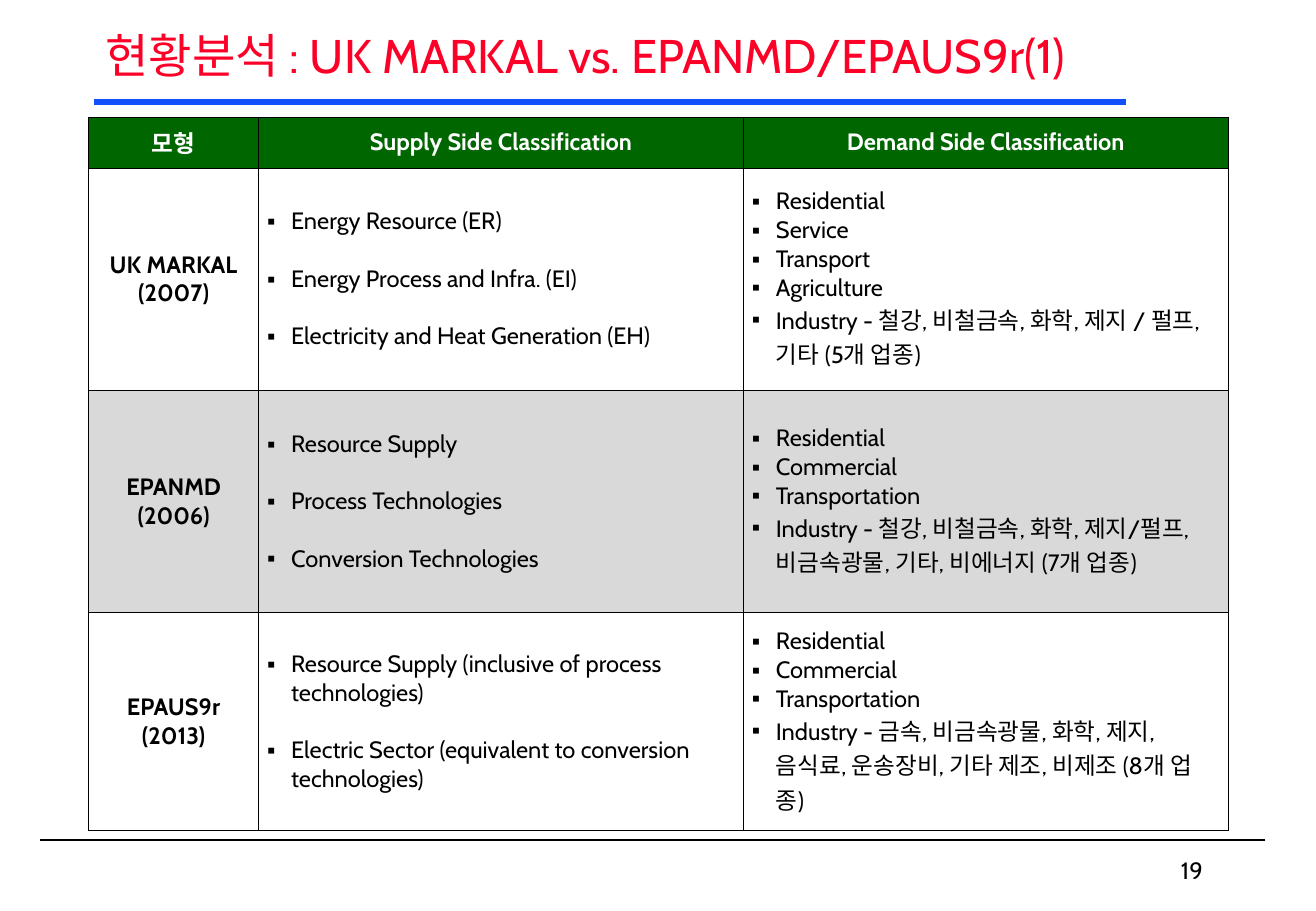
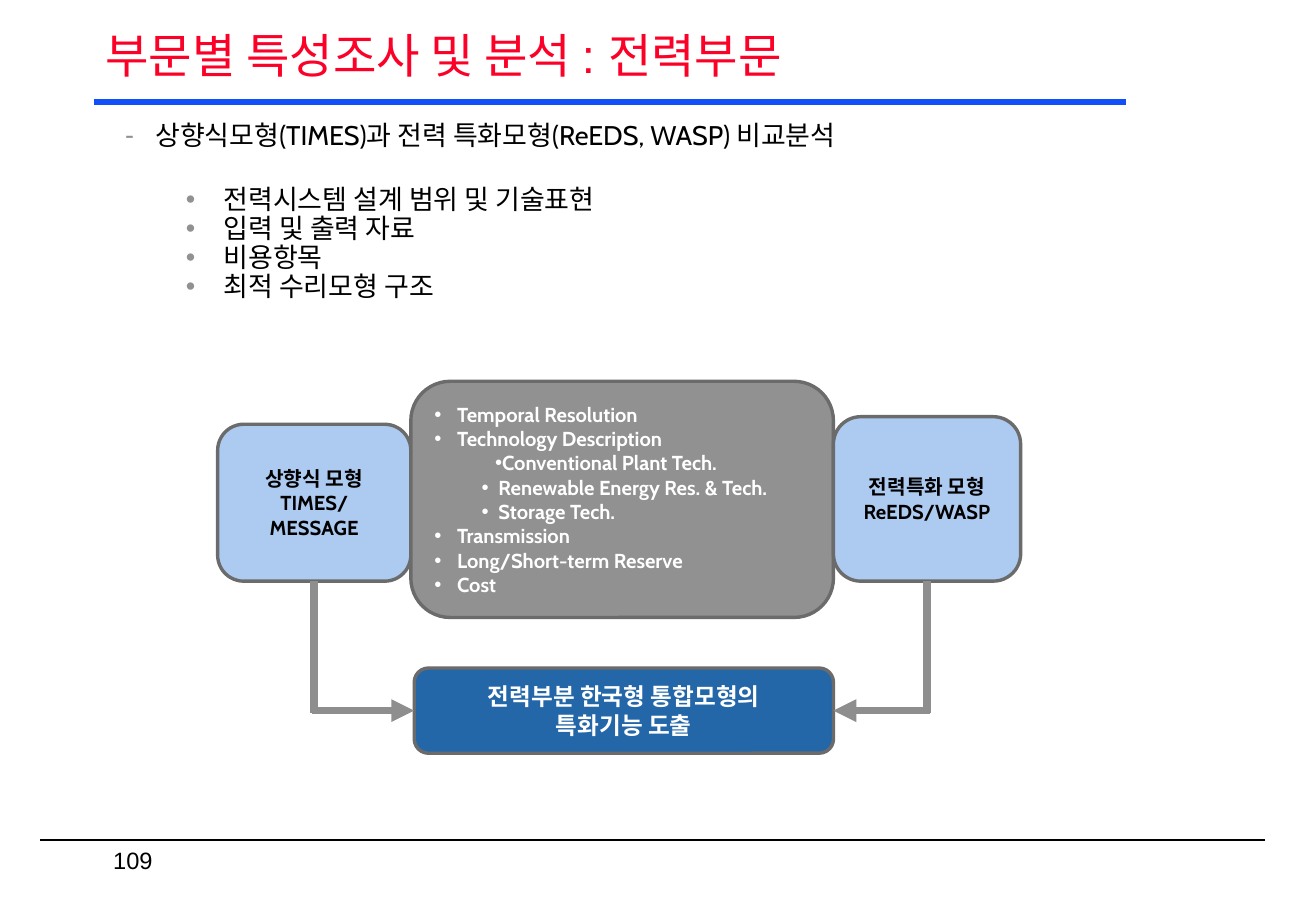
from dataclasses import dataclass
from typing import Optional

from lxml import etree
from pptx import Presentation
from pptx.dml.color import RGBColor
from pptx.enum.shapes import MSO_CONNECTOR, MSO_SHAPE
from pptx.enum.text import MSO_ANCHOR, PP_ALIGN
from pptx.oxml.ns import qn
from pptx.util import Pt

STRAIGHT = MSO_CONNECTOR.STRAIGHT
ROUNDED = MSO_SHAPE.ROUNDED_RECTANGLE
MIDDLE, TOP = MSO_ANCHOR.MIDDLE, MSO_ANCHOR.TOP
LEFT, CENTER, RIGHT = PP_ALIGN.LEFT, PP_ALIGN.CENTER, PP_ALIGN.RIGHT
JUSTIFY = PP_ALIGN.JUSTIFY
SIDE_LEFT, SIDE_BOTTOM, SIDE_RIGHT = 1, 2, 3

BLACK = RGBColor(0x00, 0x00, 0x00)
WHITE = RGBColor(0xFF, 0xFF, 0xFF)
RED = RGBColor(0xFC, 0x01, 0x28)
BLUE = RGBColor(0x11, 0x4F, 0xFB)
GREEN = RGBColor(0x00, 0x66, 0x00)
BAND = RGBColor(0xD9, 0xD9, 0xD9)
GRAY = RGBColor(0x91, 0x91, 0x91)
ARROW = RGBColor(0x8E, 0x8E, 0x8E)
OUTLINE = RGBColor(0x6B, 0x6B, 0x6B)
LIGHT_BLUE = RGBColor(0xAD, 0xCA, 0xF0)
DEEP_BLUE = RGBColor(0x24, 0x67, 0xA9)


@dataclass(frozen=True)
class Style:
    size: float
    color: RGBColor = BLACK
    bold: bool = False
    align: int = LEFT
    font: str = "Cabin"
    spacing: Optional[float] = None


@dataclass(frozen=True)
class Bullet:
    char: str
    margin: float
    indent: float
    level: int = 0
    color: Optional[RGBColor] = None


@dataclass(frozen=True)
class Item:
    text: str
    bullet: Optional[Bullet] = None
    gap: float = 0


TITLE = Style(28, RED, align=JUSTIFY, spacing=0.9)
TITLE_ARIAL = Style(28, RED, align=JUSTIFY, font="Arial", spacing=0.9)
HEADER = Style(14, WHITE, True, CENTER)
MODEL = Style(14, BLACK, True, CENTER)
CELL = Style(14)
BODY = Style(16, spacing=0.9)
BOX = Style(12, BLACK, True, CENTER)
FEATURE = Style(12, WHITE, True)

SQUARE = Bullet("▪", 14.25, -14.25)
DASH = Bullet("-", 54, -18, 1, GRAY)
TOPIC = Bullet("•", 94.5, -22.5, 2, GRAY)
DOT = Bullet("•", 13.5, -13.5)
SUB_FIRST = Bullet("•", 28, 8, 1)
SUB = Bullet("•", 38, -10, 1)


# Text
def add_bullet(para, bullet):
    props = para._p.get_or_add_pPr()
    props.set("marL", str(Pt(bullet.margin)))
    props.set("indent", str(Pt(bullet.indent)))
    para.level = bullet.level
    if bullet.color is not None:
        color = etree.SubElement(props, qn("a:buClr"))
        etree.SubElement(color, qn("a:srgbClr"), val=str(bullet.color))
    etree.SubElement(props, qn("a:buFont"), typeface="Arial")
    etree.SubElement(props, qn("a:buChar"), char=bullet.char)


def write(frame, items, style):
    for index, item in enumerate(items):
        para = frame.add_paragraph() if index else frame.paragraphs[0]
        para.text = item.text
        para.alignment = style.align
        if style.spacing:
            para.line_spacing = style.spacing
        if item.gap:
            para.space_before = Pt(item.gap)
        if item.bullet:
            add_bullet(para, item.bullet)
        for span in para.runs:
            span.font.name = style.font
            span.font.size = Pt(style.size)
            span.font.bold = style.bold
            span.font.color.rgb = style.color


def plain(*texts):
    return [Item(text) for text in texts]


def bulleted(texts, bullet, gap=0):
    return [Item(text, bullet, gap if index else 0)
            for index, text in enumerate(texts)]


def add_text(page, bounds, items, style, anchor=MIDDLE):
    box = page.shapes.add_textbox(*map(Pt, bounds))
    box.text_frame.word_wrap = True
    box.text_frame.vertical_anchor = anchor
    write(box.text_frame, items, style)


# Lines and boxes
def add_line(page, start, end, color, width, arrow=False):
    line = page.shapes.add_connector(STRAIGHT, *map(Pt, start + end))
    line.line.color.rgb = color
    line.line.width = Pt(width)
    if arrow:
        etree.SubElement(line.line._get_or_add_ln(), qn("a:tailEnd"),
                         type="triangle")
    etree.SubElement(line._element.spPr, qn("a:effectLst"))
    return line


def add_box(page, bounds, fill, items, style):
    box = page.shapes.add_shape(ROUNDED, *map(Pt, bounds))
    box.shadow.inherit = False
    box.fill.solid()
    box.fill.fore_color.rgb = fill
    box.line.color.rgb = OUTLINE
    box.line.width = Pt(2)
    box.text_frame.word_wrap = True
    box.text_frame.vertical_anchor = MIDDLE
    write(box.text_frame, items, style)
    return box


def add_elbow(page, source, target, side):
    """Go down from the source, then across to a side of the target."""
    overhang = 1.5
    corner_x = (source.left + source.width / 2) / Pt(1)
    corner_y = (target.top + target.height / 2) / Pt(1)
    end_x = (target.left if side == SIDE_LEFT
             else target.left + target.width) / Pt(1)
    start_x = corner_x + (-overhang if side == SIDE_LEFT else overhang)
    bottom = (source.top + source.height) / Pt(1)
    down = add_line(page, (corner_x, bottom), (corner_x, corner_y + overhang),
                    ARROW, 4.5)
    down.begin_connect(source, SIDE_BOTTOM)
    across = add_line(page, (start_x, corner_y), (end_x, corner_y),
                      ARROW, 4.5, arrow=True)
    across.end_connect(target, side)


# Table
def format_cell(cell, fill):
    cell.vertical_anchor = MIDDLE
    cell.margin_left = cell.margin_right = Pt(5)
    cell.margin_top = cell.margin_bottom = Pt(1.5)
    props = cell._tc.get_or_add_tcPr()
    for side in ("lnL", "lnR", "lnT", "lnB"):
        border = etree.SubElement(props, qn("a:" + side), w=str(Pt(0.28)))
        paint = etree.SubElement(border, qn("a:solidFill"))
        etree.SubElement(paint, qn("a:srgbClr"), val=str(BLACK))
    if fill is None:
        cell.fill.background()
    else:
        cell.fill.solid()
        cell.fill.fore_color.rgb = fill


def add_model_table(page, left, top, widths, heights, headers, models):
    frame = page.shapes.add_table(
        len(heights), len(widths), Pt(left), Pt(top),
        Pt(sum(widths)), Pt(sum(heights)))
    table = frame.table
    table.first_row = table.horz_banding = False
    for column, width in zip(table.columns, widths):
        column.width = Pt(width)
    for row, height in zip(table.rows, heights):
        row.height = Pt(height)
    for cell, text in zip(table.rows[0].cells, headers):
        format_cell(cell, GREEN)
        write(cell.text_frame, plain(text), HEADER)
    for index, (name, supply, demand) in enumerate(models, 1):
        contents = ((plain(*name), MODEL),
                    (bulleted(supply, SQUARE, gap=17), CELL),
                    (bulleted(demand, SQUARE), CELL))
        for cell, (items, style) in zip(table.rows[index].cells, contents):
            format_cell(cell, None if index % 2 else BAND)
            write(cell.text_frame, items, style)


# Pages
def add_page(deck, title, style):
    page = deck.slides.add_slide(deck.slide_layouts[6])
    add_line(page, (750, 498), (24, 498), BLACK, 1)
    add_line(page, (55.5, 60.5), (667.5, 60.5), BLUE, 3.75)
    add_text(page, (55.5, 12.25, 669, 44.5), plain(title), style)
    return page


def add_comparison_page(deck):
    page = add_page(deck, "현황분석 : UK MARKAL vs. EPANMD/EPAUS9r(1)", TITLE)
    headers = ("모형", "Supply Side Classification",
               "Demand Side Classification")
    models = (
        (("UK MARKAL", "(2007)"),
         ("Energy Resource (ER)", "Energy Process and Infra. (EI)",
          "Electricity and Heat Generation (EH)"),
         ("Residential", "Service", "Transport", "Agriculture",
          "Industry - 철강, 비철금속, 화학, 제지 / 펄프, 기타 (5개 업종)")),
        (("EPANMD", "(2006)"),
         ("Resource Supply", "Process Technologies",
          "Conversion Technologies"),
         ("Residential", "Commercial", "Transportation",
          "Industry - 철강, 비철금속, 화학, 제지/펄프, 비금속광물, 기타, "
          "비에너지 (7개 업종)")),
        (("EPAUS9r", "(2013)"),
         ("Resource Supply (inclusive of process technologies)",
          "Electric Sector (equivalent to conversion technologies)"),
         ("Residential", "Commercial", "Transportation",
          "Industry - 금속, 비금속광물, 화학, 제지, 음식료, 운송장비, "
          "기타 제조, 비제조 (8개 업종)")),
    )
    add_model_table(page, 52.5, 69.25, (100.8, 287.4, 287.4),
                    (30.2, 131.8, 131.8, 129.4), headers, models)
    add_text(page, (558, 504, 162, 24), plain("19"),
             Style(14, align=RIGHT))


def add_power_page(deck):
    page = add_page(deck, "부문별 특성조사 및 분석 : 전력부문", TITLE_ARIAL)
    add_text(page, (60, 492, 162, 36), plain("109"),
             Style(14, font="Arial"))

    # Outline
    topics = bulleted(("입력 및 출력 자료", "비용항목", "최적 수리모형 구조"), TOPIC)
    add_text(page, (31, 69, 672, 157), [
        Item("상향식모형(TIMES)과 전력 특화모형(ReEDS, WASP) 비교분석", DASH),
        Item("전력시스템 설계 범위 및 기술표현", TOPIC, 20.5),
        *topics], BODY, TOP)

    # Models, shared features and result
    bottom_up = add_box(page, (129, 251.5, 114.5, 93), LIGHT_BLUE,
                        plain("상향식 모형", "TIMES/MESSAGE"), BOX)
    add_box(page, (243.5, 226, 250.5, 140), GRAY, [
        *bulleted(("Temporal Resolution", "Technology Description"), DOT),
        Item("Conventional Plant Tech.", SUB_FIRST),
        *bulleted(("Renewable Energy Res. & Tech.", "Storage Tech."), SUB),
        *bulleted(("Transmission", "Long/Short-term Reserve", "Cost"), DOT),
    ], FEATURE)
    power = add_box(page, (494, 247, 111, 97.5), LIGHT_BLUE,
                    plain("전력특화 모형", "ReEDS/WASP"), BOX)
    result = add_box(page, (245.5, 396, 248.5, 50.5), DEEP_BLUE,
                     plain("전력부분 한국형 통합모형의", "특화기능 도출"), HEADER)
    add_elbow(page, bottom_up, result, SIDE_LEFT)
    add_elbow(page, power, result, SIDE_RIGHT)


def main():
    deck = Presentation()
    deck.slide_width, deck.slide_height = Pt(780), Pt(540)
    add_comparison_page(deck)
    add_power_page(deck)
    deck.save("out.pptx")


if __name__ == "__main__":
    main()
